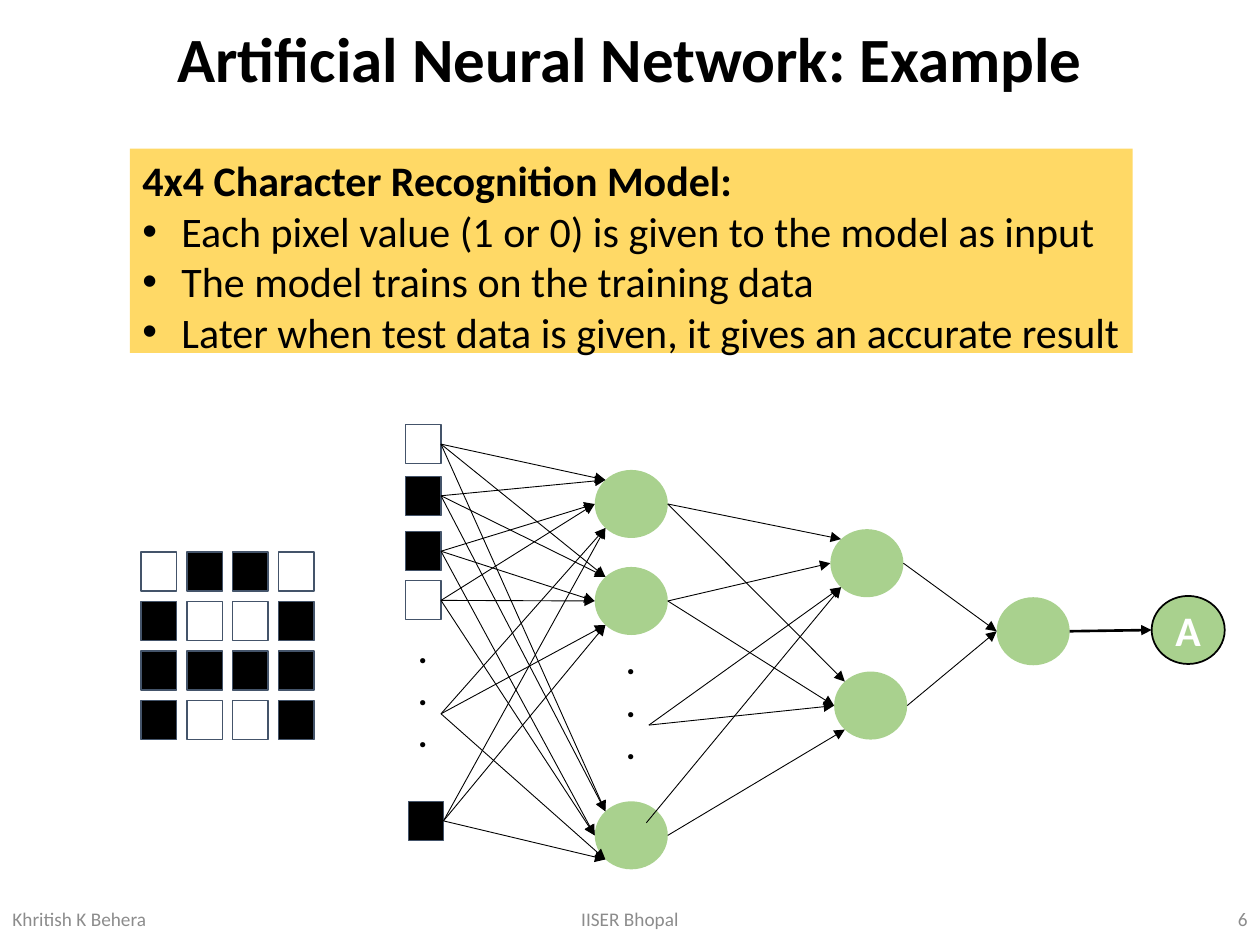
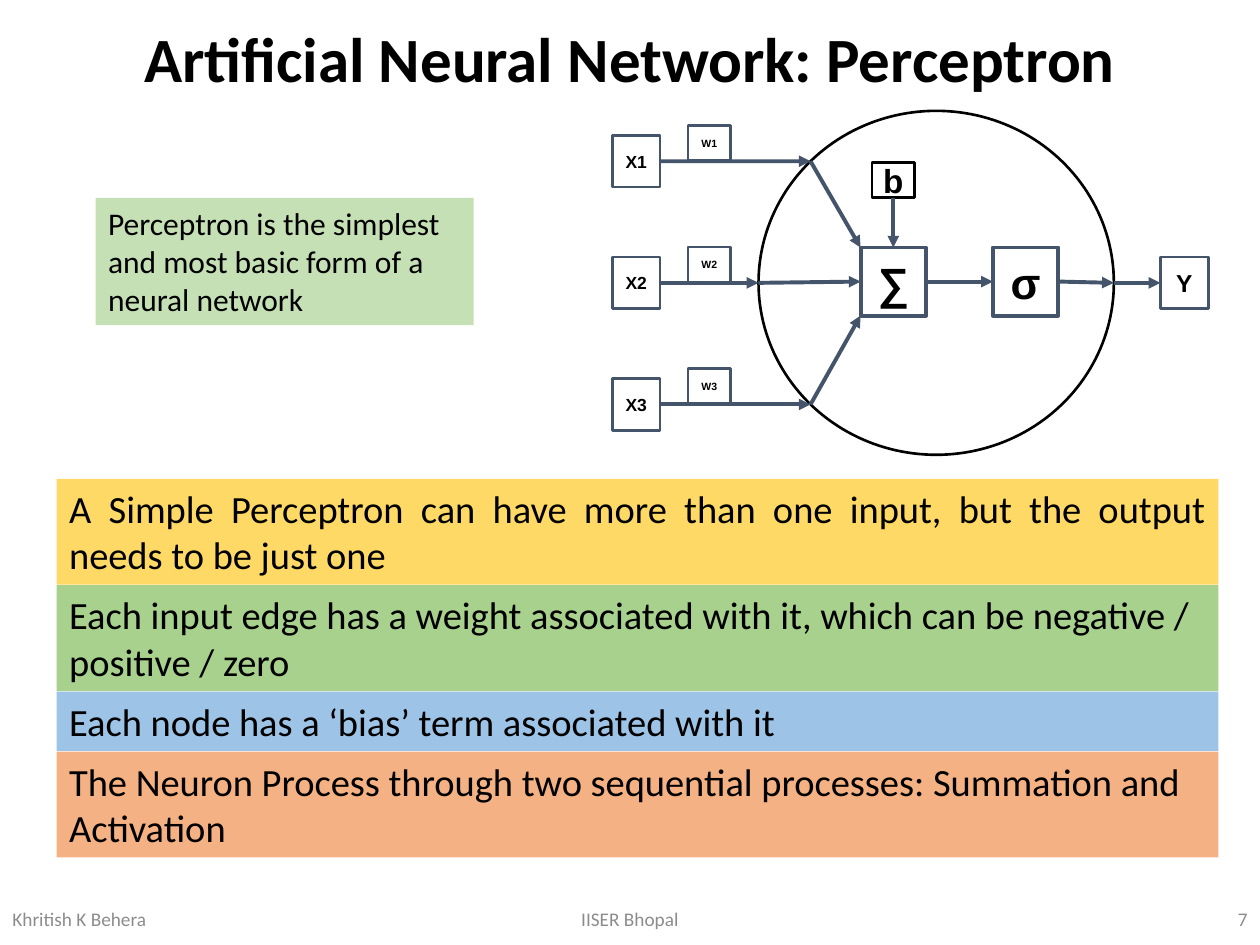
from dataclasses import dataclass
from math import sqrt
from typing import Optional, Sequence

from lxml.etree import SubElement
from pptx import Presentation
from pptx.dml.color import RGBColor
from pptx.enum.shapes import MSO_CONNECTOR as Conn, MSO_SHAPE as Kind
from pptx.enum.text import MSO_ANCHOR as Anchor, MSO_AUTO_SIZE as Auto, PP_ALIGN as Align
from pptx.oxml.ns import qn
from pptx.util import Emu, Inches, Pt

WIDTH, HEIGHT = Inches(10), Inches(7.5)
COL, ROW = WIDTH / 100, HEIGHT / 75  # grid of 100 columns and 75 rows

BLACK = RGBColor(0x00, 0x00, 0x00)
WHITE = RGBColor(0xFF, 0xFF, 0xFF)
GRAY = RGBColor(0x8C, 0x8C, 0x8C)
SLATE = RGBColor(0x44, 0x54, 0x6A)
GOLD = RGBColor(0xFF, 0xD9, 0x66)
GREEN = RGBColor(0xA9, 0xD1, 0x8E)
PALE = RGBColor(0xC5, 0xE0, 0xB4)
BLUE = RGBColor(0x9D, 0xC3, 0xE6)
PEACH = RGBColor(0xF4, 0xB1, 0x83)

# Sides of a box, as steps from its centre
LEFT, RIGHT, TOP, BOTTOM = (-1, 0), (1, 0), (0, -1), (0, 1)
TOP_LEFT, LOW_LEFT = (-1, -1), (-1, 1)

Point = tuple[float, float]


@dataclass(frozen=True)
class Box:
    """A place on the grid, in columns and rows."""
    left: float
    top: float
    width: float
    height: float
    kind: Kind = Kind.RECTANGLE

    def port(self, side: tuple[int, int]) -> Point:
        """Point where a line meets the outline on the given side."""
        x, y = side
        reach = 1 / sqrt(2) if self.kind == Kind.OVAL and x and y else 1
        return (self.left + self.width * (1 + reach * x) / 2,
                self.top + self.height * (1 + reach * y) / 2)

    def area(self) -> tuple[Emu, ...]:
        return (Emu(round(self.left * COL)), Emu(round(self.top * ROW)),
                Emu(round(self.width * COL)), Emu(round(self.height * ROW)))


@dataclass(frozen=True)
class Foot:
    box: Box
    align: Align
    text: str = ""


@dataclass(frozen=True)
class Strip:
    text: str
    fill: RGBColor
    height: float
    align: Align = Align.LEFT


TITLE = Box(0, 0.1, 100, 9.6)
FEET = (
    Foot(Box(0, 70.9, 22.5, 4), Align.LEFT, "Khritish K Behera"),
    Foot(Box(33.1, 70.9, 33.8, 4), Align.CENTER, "IISER Bhopal"),
    Foot(Box(77.5, 70.9, 22.5, 4), Align.RIGHT),
)


def write(shape, *lines: str, size: float, color: RGBColor = BLACK, bold: bool = False,
          font: str = "Calibri", align: Align = Align.LEFT, anchor: Anchor = Anchor.TOP,
          inset: Optional[float] = None, wrap: bool = True, grow: bool = False,
          spacing: float = 1) -> None:
    frame = shape.text_frame
    frame.word_wrap = wrap
    frame.vertical_anchor = anchor
    frame.auto_size = Auto.SHAPE_TO_FIT_TEXT if grow else Auto.NONE
    if inset is not None:
        frame.margin_left = frame.margin_right = Inches(inset)
        frame.margin_top = frame.margin_bottom = Inches(inset)
    for i, line in enumerate(lines):
        para = frame.add_paragraph() if i else frame.paragraphs[0]
        para.alignment = align
        para.line_spacing = spacing
        para.space_before = Pt(0)
        run = para.add_run()
        run.text = line
        run.font.name, run.font.size, run.font.bold = font, Pt(size), bold
        run.font.color.rgb = color


def draw(slide, box: Box, fill: Optional[RGBColor] = None,
         line: Optional[RGBColor] = None, weight: float = 0.75):
    shape = slide.shapes.add_shape(box.kind, *box.area())
    shape.shadow.inherit = False
    if fill is None:
        shape.fill.background()
    else:
        shape.fill.solid()
        shape.fill.fore_color.rgb = fill
    if line is None:
        shape.line.fill.background()
    else:
        shape.line.color.rgb = line
        shape.line.width = Pt(weight)
    return shape


def arrow(slide, start: Point, end: Point, color: RGBColor = BLACK,
          weight: float = 0.5) -> None:
    ends = [Emu(round(v * unit)) for v, unit in zip((*start, *end), (COL, ROW) * 2)]
    link = slide.shapes.add_connector(Conn.STRAIGHT, *ends)
    link.line.color.rgb = color
    link.line.width = Pt(weight)
    props = link.element.spPr
    SubElement(props.find(qn("a:ln")), qn("a:tailEnd"), type="triangle")
    SubElement(props, qn("a:effectLst"))


def bullet(para, mark: str) -> None:
    """Set a hanging bullet, or none when the mark is empty."""
    props = para._p.get_or_add_pPr()
    indent = Inches(0.31) if mark else 0
    props.set("marL", str(indent))
    props.set("indent", str(-indent))
    if mark:
        SubElement(props, qn("a:buFont"), typeface="Arial")
        SubElement(props, qn("a:buChar"), char=mark)
    else:
        SubElement(props, qn("a:buNone"))


def place(shape, box: Box) -> None:
    shape.left, shape.top, shape.width, shape.height = box.area()


def start(deck, layout: int, title: str, number: int):
    """Add a slide with the shared title and footers."""
    slide = deck.slides.add_slide(deck.slide_layouts[layout])
    place(slide.shapes.title, TITLE)
    write(slide.shapes.title, title, size=36, bold=True, align=Align.CENTER,
          anchor=Anchor.MIDDLE, spacing=0.9)
    for foot in FEET:
        write(slide.shapes.add_textbox(*foot.box.area()), foot.text or str(number),
              size=11, color=GRAY, align=foot.align, anchor=Anchor.MIDDLE)
    return slide


def pixel(slide, left: float, top: float, mark: str) -> Box:
    box = Box(left, top, 2.8, 3.1)
    draw(slide, box, BLACK if mark == "1" else WHITE, SLATE)
    return box


def node(slide, left: float, top: float) -> Box:
    box = Box(left, top, 5.8, 5.4, Kind.OVAL)
    draw(slide, box, GREEN)
    return box


def dots(slide, left: float, top: float) -> Box:
    box = Box(left, top, 2.8, 14.5)
    write(slide.shapes.add_textbox(*box.area()), *"...", size=20, bold=True, grow=True)
    return box


def fan(slide, source: Point, goals: Sequence[Point]) -> None:
    for goal in goals:
        arrow(slide, source, goal)


def example(deck) -> None:
    slide = start(deck, 1, "Artificial Neural Network: Example", 6)

    model = slide.placeholders[1]
    place(model, Box(10.3, 11.8, 79.6, 17.2))
    model.fill.solid()
    model.fill.fore_color.rgb = GOLD
    write(model, "4x4 Character Recognition Model:",
          "Each pixel value (1 or 0) is given to the model as input",
          "The model trains on the training data",
          "Later when test data is given, it gives an accurate result",
          size=24, align=Align.JUSTIFY, grow=True)
    head, *items = model.text_frame.paragraphs
    head.runs[0].font.bold = True
    bullet(head, "")
    for item in items:
        bullet(item, "•")

    for row, marks in enumerate(("0110", "1001", "1111", "1001")):
        for col, mark in enumerate(marks):
            pixel(slide, 11.2 + 3.64 * col, 43.8 + 3.93 * row, mark)

    inputs = [pixel(slide, 32.2, top, mark)
              for top, mark in zip((33.7, 37.8, 42.2, 46.1), "0110")]
    inputs += [dots(slide, 32.2, 49.4), pixel(slide, 32.4, 63.6, "1")]
    hidden = [node(slide, 47.2, top) for top in (37.3, 45, 63.6)]
    more = dots(slide, 48.7, 50.3)
    upper, lower = node(slide, 65.9, 42), node(slide, 66.2, 53.3)
    final = node(slide, 79.1, 47.4)

    sides = (TOP_LEFT, TOP_LEFT, LEFT, LEFT, LOW_LEFT, LOW_LEFT)
    for box, side in zip(inputs, sides):
        fan(slide, box.port(RIGHT), [goal.port(side) for goal in hidden])

    first, second, last = (box.port(RIGHT) for box in hidden)
    fan(slide, first, [upper.port(TOP_LEFT), lower.port(TOP_LEFT)])
    fan(slide, second, [upper.port(LEFT), lower.port(LEFT)])
    fan(slide, more.port(RIGHT), [upper.port(LOW_LEFT), lower.port(LEFT)])
    arrow(slide, (51.3, 65.3), upper.port(LOW_LEFT))
    arrow(slide, last, lower.port(LOW_LEFT))
    for box in (upper, lower):
        arrow(slide, box.port(RIGHT), final.port(LEFT))

    result = Box(91.4, 47.3, 5.8, 5.4, Kind.OVAL)
    write(draw(slide, result, GREEN, BLACK, 1), "A", size=24, color=WHITE, bold=True,
          align=Align.CENTER, anchor=Anchor.MIDDLE, wrap=False)
    arrow(slide, final.port(RIGHT), result.port(LEFT), weight=1.5)


def label(slide, box: Box, text: str, size: float, line: RGBColor = SLATE,
          weight: float = 1.5) -> Box:
    write(draw(slide, box, line=line, weight=weight), text, size=size, bold=True,
          font="Arial", align=Align.CENTER, anchor=Anchor.MIDDLE, inset=0.1, wrap=False)
    return box


STRIPS = (
    Strip("A Simple Perceptron can have more than one input, but the output "
          "needs to be just one", GOLD, 8.4, Align.JUSTIFY),
    Strip("Each input edge has a weight associated with it, which can be negative / "
          "positive / zero", GREEN, 8.4),
    Strip("Each node has a ‘bias’ term associated with it", BLUE, 4.7),
    Strip("The Neuron Process through two sequential processes: Summation and "
          "Activation", PEACH, 8.4),
)


def neuron(deck) -> None:
    slide = start(deck, 5, "Artificial Neural Network: Perceptron", 7)

    cell = Box(60.2, 8.8, 28.2, 27.3, Kind.OVAL)
    draw(slide, cell, WHITE, BLACK, 1.5)
    total = label(slide, Box(68.3, 19.65, 5.2, 5.4), "∑", 25, weight=2.25)
    active = label(slide, Box(78.8, 19.65, 5.2, 5.4), "σ", 25, weight=2.25)
    bias = label(slide, Box(69.2, 12.9, 3.4, 2.8), "b", 19, BLACK)
    output = label(slide, Box(92.1, 20.4, 3.8, 4.1), "Y", 14)

    links = [
        (total.port(RIGHT), active.port(LEFT)),
        (bias.port(BOTTOM), total.port(TOP)),
        (active.port(RIGHT), cell.port(RIGHT)),
        (cell.port(RIGHT), output.port(LEFT)),
    ]
    for i, side in enumerate((TOP_LEFT, LEFT, LOW_LEFT)):
        drop = 9.65 * i
        entry = label(slide, Box(48.6, 10.75 + drop, 3.8, 4.1), f"X{i + 1}", 10)
        label(slide, Box(54.6, 9.95 + drop, 3.4, 2.8), f"W{i + 1}", 6)
        links += [(entry.port(RIGHT), cell.port(side)),
                  (cell.port(side), total.port(side))]
    for source, goal in links:
        arrow(slide, source, goal, SLATE, 2.25)

    top = 38.0
    for strip in STRIPS:
        write(draw(slide, Box(4.5, top, 92.2, strip.height), strip.fill), strip.text,
              size=22, align=strip.align, grow=True)
        top += strip.height + 0.05
    write(draw(slide, Box(7.6, 15.7, 30, 10.1), PALE),
          "Perceptron is the simplest and most basic form of a neural network",
          size=18, grow=True)


def main() -> None:
    deck = Presentation()
    deck.slide_width, deck.slide_height = WIDTH, HEIGHT
    example(deck)
    neuron(deck)
    deck.save("out.pptx")


if __name__ == "__main__":
    main()
